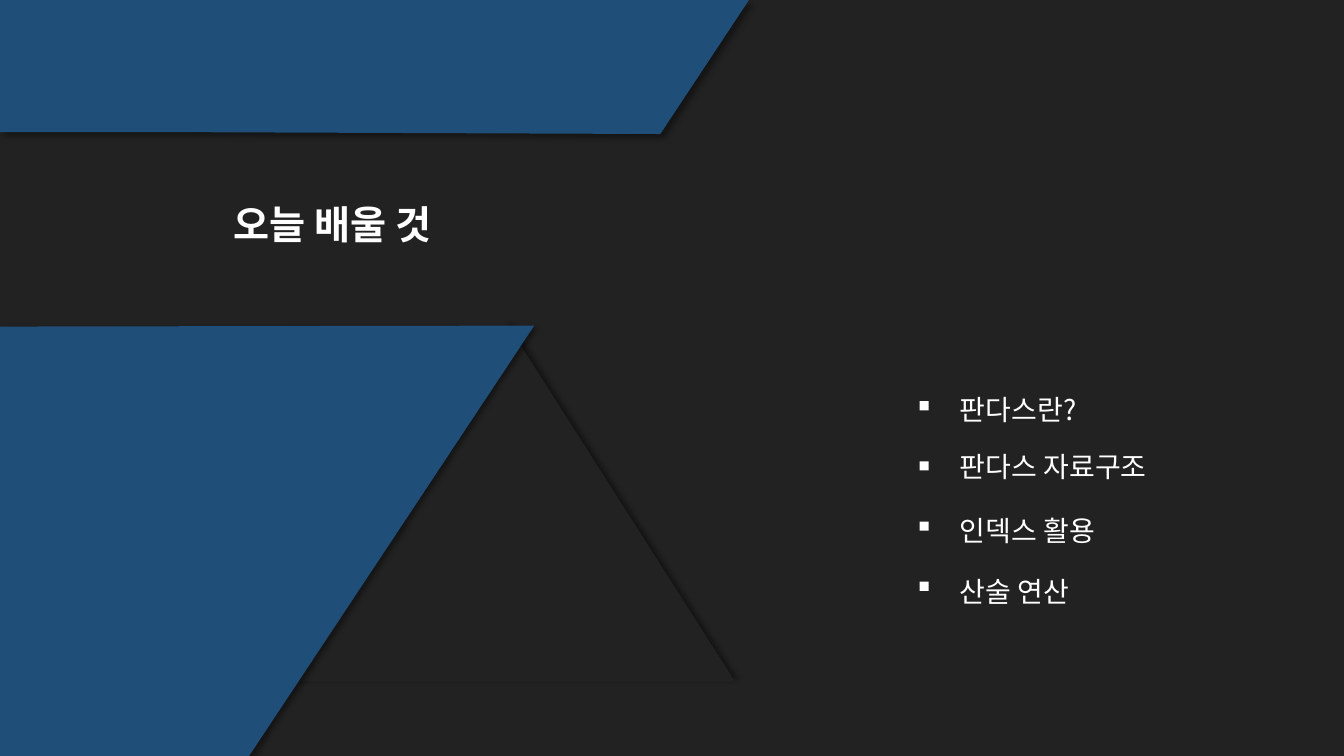
from dataclasses import dataclass

from lxml.etree import SubElement
from pptx import Presentation
from pptx.dml.color import RGBColor
from pptx.enum.shapes import MSO_SHAPE
from pptx.enum.text import MSO_ANCHOR, MSO_AUTO_SIZE, PP_ALIGN
from pptx.oxml.ns import qn
from pptx.util import Emu, Inches, Pt

FONT = "Noto Sans CJK KR"
DARK, BLUE, WHITE = "222222", "1F4E79", "FFFFFF"
SLIDE_W, SLIDE_H = Inches(13.33), Inches(7.5)
MARKER_TOP, MARKER_STEP = 53.07, 7.96  # shares of the slide's height


@dataclass
class Panel:
    """Corners as percentages of the slide's width and height."""
    corners: list[tuple[float, float]]


@dataclass
class Topic:
    text: str
    gap: float  # points above the line


PANELS = [
    Panel([(0, 0), (55.73, 0), (49.13, 17.73), (11.63, 17.47), (0, 17.47)]),
    Panel([(0, 43.2), (39.75, 43.07), (18.53, 100), (0, 100)]),
]
TOPICS = [
    Topic("판다스란?", 0),
    Topic("판다스 자료구조", 16.7),
    Topic("인덱스 활용", 21.8),
    Topic("산술 연산", 19.6),
]


def x(share: float) -> Emu:
    return Emu(round(SLIDE_W * share / 100))


def y(share: float) -> Emu:
    return Emu(round(SLIDE_H * share / 100))


def rgb(value: str) -> RGBColor:
    return RGBColor.from_string(value)


def style_shape(sp, fill: str) -> None:
    """Flat fill without outline or shadow."""
    sp.fill.solid()
    sp.fill.fore_color.rgb = rgb(fill)
    sp.line.fill.background()
    sp.shadow.inherit = False


def add_shadow(sp, angle: int) -> None:
    effects = sp.element.spPr.find(qn("a:effectLst"))
    shadow = SubElement(effects, qn("a:outerShdw"), blurRad=str(Pt(4)), dist=str(Pt(3)),
                        dir=str(angle * 60000), algn="tl", rotWithShape="0")
    color = SubElement(shadow, qn("a:srgbClr"), val="000000")
    SubElement(color, qn("a:alpha"), val="40000")


def draw_panel(shapes, panel: Panel) -> None:
    points = [(x(px), y(py)) for px, py in panel.corners]
    builder = shapes.build_freeform(*points[0])
    builder.add_line_segments(points[1:], close=True)
    sp = builder.convert_to_shape()
    style_shape(sp, BLUE)
    add_shadow(sp, 45)


def place_text(sp, left: float, top: float, width: float, height: float):
    """Move a placeholder and return its text frame without margins."""
    sp.left, sp.top, sp.width, sp.height = x(left), y(top), x(width), y(height)
    tf = sp.text_frame
    tf.margin_left = tf.margin_right = tf.margin_top = tf.margin_bottom = 0
    tf.vertical_anchor = MSO_ANCHOR.TOP
    tf.auto_size = MSO_AUTO_SIZE.NONE
    return tf


def add_run(p, text: str, size: float, bold: bool = False) -> None:
    r = p.add_run()
    r.text = text
    r.font.name = FONT
    r.font.size = Pt(size)
    r.font.bold = bold
    r.font.color.rgb = rgb(WHITE)
    rPr = r.font._element
    rPr.set("kern", "0")
    SubElement(rPr, qn("a:ea"), typeface=FONT)


def clear_bullet(p) -> None:
    pPr = p._p.get_or_add_pPr()
    pPr.set("marL", "0")
    pPr.set("indent", "0")
    SubElement(pPr, qn("a:buNone"))


def main() -> None:
    prs = Presentation()
    prs.slide_width, prs.slide_height = SLIDE_W, SLIDE_H
    s = prs.slides.add_slide(prs.slide_layouts[1])
    s.background.fill.solid()
    s.background.fill.fore_color.rgb = rgb(DARK)

    # Backdrop: dark triangle under the two blue panels
    triangle = s.shapes.add_shape(MSO_SHAPE.ISOSCELES_TRIANGLE,
                                  x(20.93), y(43.07), x(33.75), y(47.07))
    style_shape(triangle, DARK)
    add_shadow(triangle, 315)
    for panel in PANELS:
        draw_panel(s.shapes, panel)

    # Title
    tf = place_text(s.shapes.title, 15.6, 26.53, 18.3, 7.6)
    tf.word_wrap = False
    p = tf.paragraphs[0]
    p.alignment = PP_ALIGN.CENTER
    add_run(p, "오늘 배울 것", 28, bold=True)

    # Topics with evenly spaced square markers
    tf = place_text(s.placeholders[1], 71.42, 51.87, 18, 30.67)
    tf.word_wrap = True
    for i, topic in enumerate(TOPICS):
        p = tf.add_paragraph() if i else tf.paragraphs[0]
        p.line_spacing = 1.0
        p.space_before = Pt(topic.gap)
        clear_bullet(p)
        add_run(p, topic.text, 20)
        marker = s.shapes.add_shape(MSO_SHAPE.RECTANGLE, x(68.42),
                                    y(MARKER_TOP + i * MARKER_STEP), x(0.68), y(1.2))
        style_shape(marker, WHITE)

    prs.save("out.pptx")


if __name__ == "__main__":
    main()
